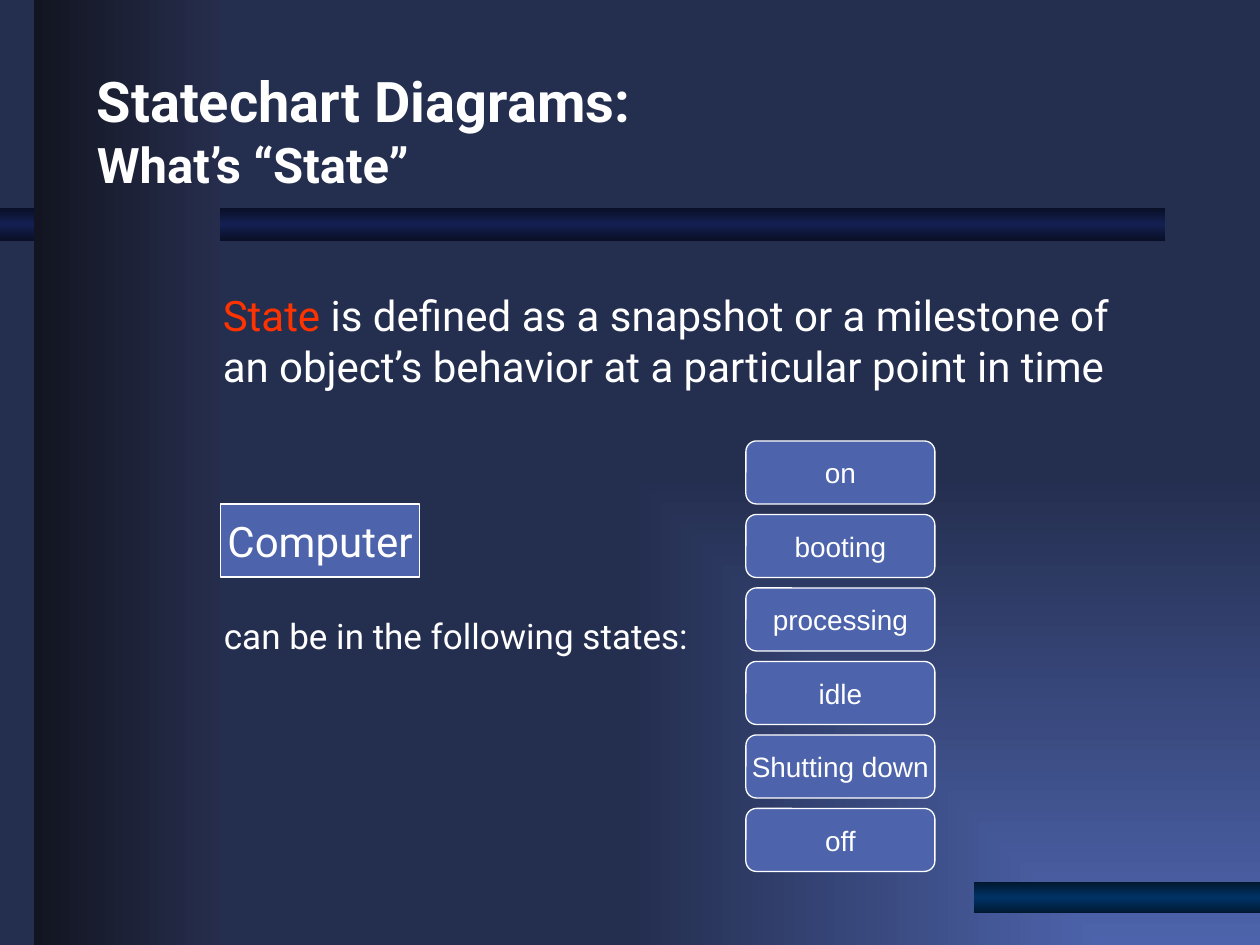
import pptx
import pptx.util
from lxml import etree
from pptx.dml.color import RGBColor
from pptx.enum.shapes import MSO_SHAPE
from pptx.enum.text import MSO_ANCHOR, MSO_AUTO_SIZE, PP_ALIGN
from pptx.oxml.ns import qn

Inches, Pt = pptx.util.Inches, pptx.util.Pt

WHITE = RGBColor(0xFF, 0xFF, 0xFF)
RED = RGBColor(0xFF, 0x33, 0x00)
BLUE = RGBColor(0x4D, 0x63, 0xAB)
NIGHT = RGBColor(0x24, 0x2E, 0x4F)
BAR_EDGE, BAR_CORE = RGBColor(0x09, 0x0F, 0x26), RGBColor(0x14, 0x20, 0x52)
BAND_LEFT, BAND_RIGHT = RGBColor(0x12, 0x15, 0x21), RGBColor(0x26, 0x2D, 0x4C)
FOOT_EDGE, FOOT_CORE = RGBColor(0x00, 0x18, 0x2F), RGBColor(0x00, 0x33, 0x66)

# Content: text spans are (text, size, colour, bold)
TITLE = [("Statechart Diagrams: ", 32, WHITE, True),
         ("What’s “State”", 28, WHITE, True)]
DEFINITION = [("State", 24, RED, False),
              (" is defined as a snapshot or a milestone of an object’s "
               "behavior at a particular point in time", 24, WHITE, False)]
LEAD_IN = [("can be in the following states:", 20, WHITE, False)]
OBJECT = "Computer"
STATES = ["on", "booting", "processing", "idle", "Shutting down", "off"]

# Decoration: place, gradient colours, angle
BANDS = [
    ((0, 1.65, 9.25, 0.26), (BAR_EDGE, BAR_CORE, BAR_EDGE), 90),
    ((0.27, 0, 1.48, 7.5), (BAND_LEFT, BAND_RIGHT), 0),
    ((7.73, 7, 2.27, 0.25), (FOOT_EDGE, FOOT_CORE, FOOT_EDGE), 90),
]
STATE_LEFT, STATE_TOP, STATE_WIDTH, STATE_HEIGHT = 5.92, 3.5, 1.5, 0.5
STATE_PITCH = 3.5 / len(STATES)


def set_gradient(fill, owner, colours, angle=None):
    """Even colour stops; without an angle, spread from the bottom right corner."""
    fill.gradient()
    gradient = next(owner.iter(qn("a:gradFill")))
    for child in list(gradient):
        gradient.remove(child)
    stops = etree.SubElement(gradient, qn("a:gsLst"))
    for index, colour in enumerate(colours):
        position = 100000 * index // (len(colours) - 1)
        stop = etree.SubElement(stops, qn("a:gs"), pos=str(position))
        etree.SubElement(stop, qn("a:srgbClr"), val=str(colour))
    if angle is None:
        spread = etree.SubElement(gradient, qn("a:path"), path="rect")
        etree.SubElement(spread, qn("a:fillToRect"), l="100000", t="100000")
    else:
        etree.SubElement(gradient, qn("a:lin"), ang=str(angle * 60000), scaled="0")


def add_text(page, place, spans, wrap=True, broken=False,
             anchor=MSO_ANCHOR.TOP, align=PP_ALIGN.LEFT, grow=False):
    box = page.shapes.add_textbox(*map(Inches, place))
    frame = box.text_frame
    frame.word_wrap = wrap
    frame.vertical_anchor = anchor
    if grow:
        frame.auto_size = MSO_AUTO_SIZE.SHAPE_TO_FIT_TEXT
    para = frame.paragraphs[0]
    para.alignment = align
    para.font.name = "Roboto"
    for index, (text, size, colour, bold) in enumerate(spans):
        if broken and index:
            para.add_line_break()
        span = para.add_run()
        span.text = text
        span.font.size = Pt(size)
        span.font.bold = bold
        span.font.color.rgb = colour


def add_label(page, kind, place, text, font, size):
    box = page.shapes.add_shape(kind, *map(Inches, place))
    box.shadow.inherit = False
    box.fill.solid()
    box.fill.fore_color.rgb = BLUE
    box.line.color.rgb = WHITE
    box.line.width = Pt(0.75)
    frame = box.text_frame
    frame.word_wrap = False
    frame.vertical_anchor = MSO_ANCHOR.MIDDLE
    para = frame.paragraphs[0]
    para.text = text
    para.alignment = PP_ALIGN.CENTER
    para.font.name = font
    para.font.size = Pt(size)
    para.font.color.rgb = WHITE


def main():
    deck = pptx.Presentation()
    deck.slide_width, deck.slide_height = Inches(10), Inches(7.5)
    page = deck.slides.add_slide(deck.slide_layouts[6])

    # Background and bands
    set_gradient(page.background.fill, page.element, (BLUE, NIGHT))
    for place, colours, angle in BANDS:
        band = page.shapes.add_shape(MSO_SHAPE.RECTANGLE, *map(Inches, place))
        band.shadow.inherit = False
        band.line.fill.background()
        set_gradient(band.fill, band.element, colours, angle)

    # Title and definition
    add_text(page, (0.67, 0.6, 9.03, 0.98), TITLE, broken=True,
             anchor=MSO_ANCHOR.BOTTOM)
    add_text(page, (1.67, 2.25, 7.5, 0.91), DEFINITION, grow=True)

    # Object and its states
    add_label(page, MSO_SHAPE.RECTANGLE, (1.75, 4, 1.58, 0.58), OBJECT, "Roboto", 24)
    for index, state in enumerate(STATES):
        place = (STATE_LEFT, STATE_TOP + index * STATE_PITCH, STATE_WIDTH, STATE_HEIGHT)
        add_label(page, MSO_SHAPE.ROUNDED_RECTANGLE, place, state, "Arial", 16)
    add_text(page, (1.67, 4.83, 3.9, 0.43), LEAD_IN, wrap=False,
             align=PP_ALIGN.CENTER, grow=True)

    deck.save("out.pptx")


if __name__ == "__main__":
    main()
